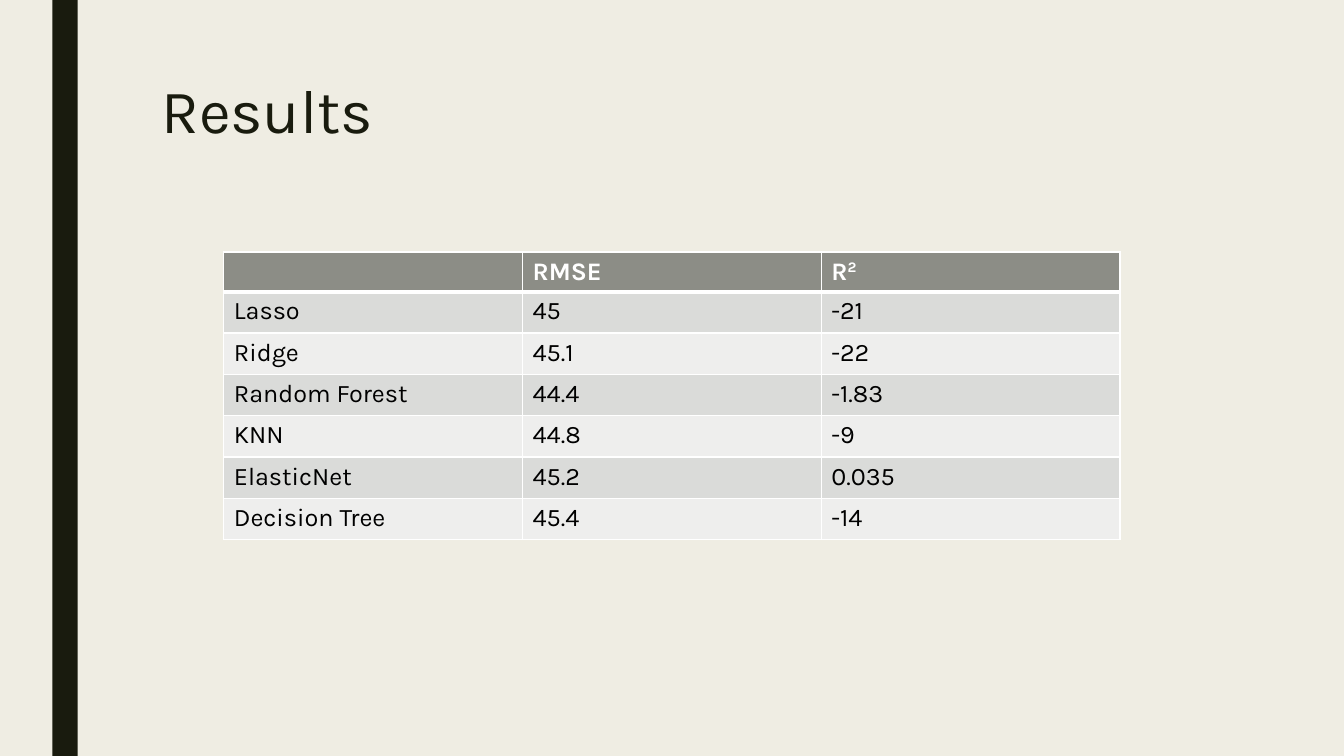
"""Build the results slide: a title, a side bar and a table of model scores."""
import pptx
import pptx.util
import pptx.dml.color
import pptx.enum.shapes
import pptx.enum.text
import pptx.oxml
import pptx.oxml.ns

Inches, Pt = pptx.util.Inches, pptx.util.Pt

TITLE = "Results"
HEAD = ("", "RMSE", "R2")
SCORES = [
    ("Lasso", "45", "-21"),
    ("Ridge", "45.1", "-22"),
    ("Random Forest", "44.4", "-1.83"),
    ("KNN", "44.8", "-9"),
    ("ElasticNet", "45.2", "0.035"),
    ("Decision Tree", "45.4", "-14"),
]
FONT = "Karla"
PAPER, INK, WHITE, BLACK = "EFEDE3", "191B0E", "FFFFFF", "000000"
TOP, BANDS = "8C8D86", ("DADBD9", "EEEEED")


def paint(fill, color):
    fill.solid()
    fill.fore_color.rgb = pptx.dml.color.RGBColor.from_string(color)


def style(font, size, color, bold=False):
    font.name, font.size, font.bold = FONT, Pt(size), bold
    paint(font.fill, color)


def edge(cell, side, width):
    line = pptx.oxml.parse_xml(
        f'<a:ln{side} {pptx.oxml.ns.nsdecls("a")} w="{Pt(width)}">'
        f'<a:solidFill><a:srgbClr val="{WHITE}"/></a:solidFill></a:ln{side}>')
    cell._tc.get_or_add_tcPr().append(line)


def write(cell, text, row):
    para = cell.text_frame.paragraphs[0]
    style(para.font, 18, BLACK if row else WHITE, row == 0)
    if text == "R2":
        for part in text:
            run = para.add_run()
            run.text = part
        run._r.get_or_add_rPr().set("baseline", "30000")
    elif text:
        para.add_run().text = text
    for side in "LRTB":
        thick = (row, side) in ((0, "B"), (1, "T"))
        edge(cell, side, 3 if thick else 1)
    paint(cell.fill, BANDS[(row - 1) % 2] if row else TOP)


deck = pptx.Presentation()
deck.slide_width, deck.slide_height = Inches(13.33), Inches(7.5)
slide = deck.slides.add_slide(deck.slide_layouts[5])
paint(slide.background.fill, PAPER)

bar = slide.shapes.add_shape(
    pptx.enum.shapes.MSO_SHAPE.RECTANGLE,
    Inches(0.52), 0, Inches(0.25), deck.slide_height)
bar.shadow.inherit = False
paint(bar.fill, INK)
bar.line.fill.background()

title = slide.shapes.title
title.left, title.top = Inches(1.5), Inches(0.75)
title.width, title.height = Inches(10.5), Inches(1.62)
frame = title.text_frame
frame.text = TITLE
frame.vertical_anchor = pptx.enum.text.MSO_ANCHOR.TOP
para = frame.paragraphs[0]
para.alignment = pptx.enum.text.PP_ALIGN.LEFT
para.line_spacing = 0.89
style(para.font, 44, INK)

rows = [HEAD] + SCORES
table = slide.shapes.add_table(
    len(rows), len(HEAD), Inches(2.22), Inches(2.5),
    Inches(8.89), Inches(2.83)).table
for r, texts in enumerate(rows):
    table.rows[r].height = Inches(0.41 if r else 0.39)
    for c, text in enumerate(texts):
        write(table.cell(r, c), text, r)

deck.save("out.pptx")
